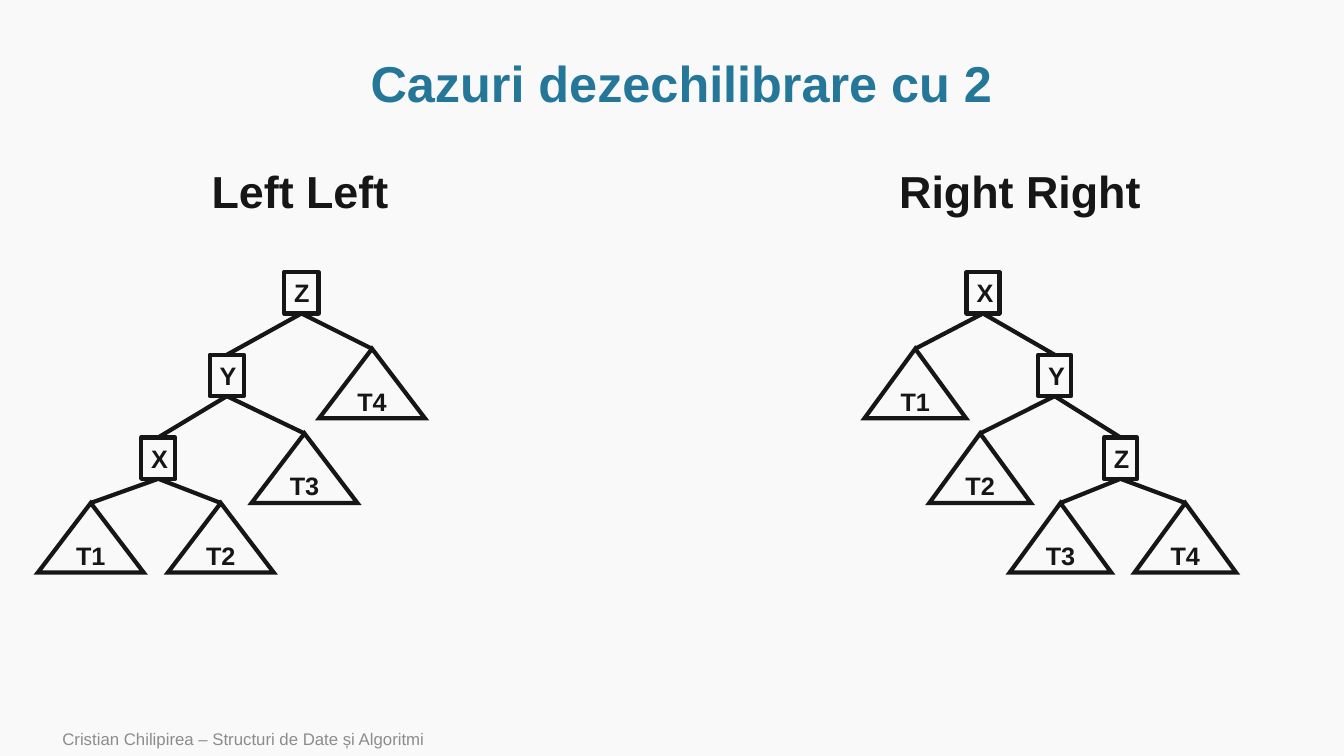
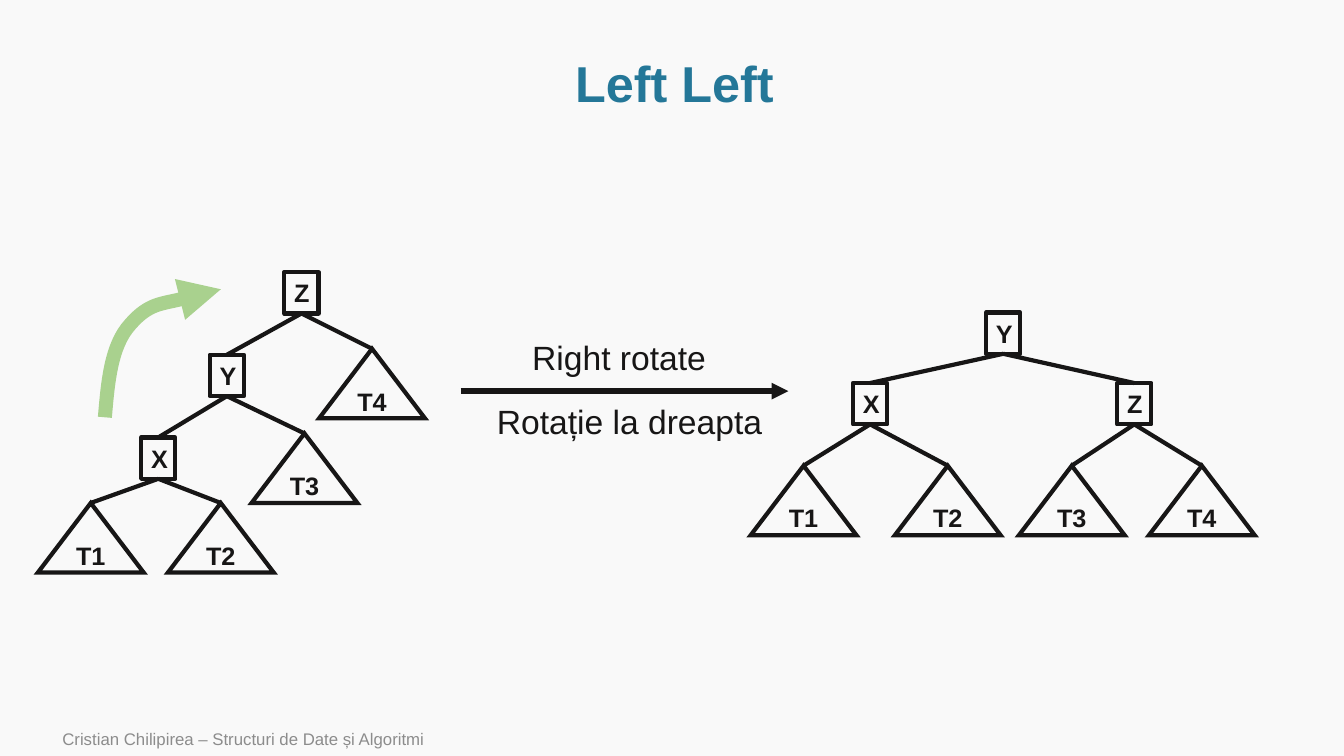
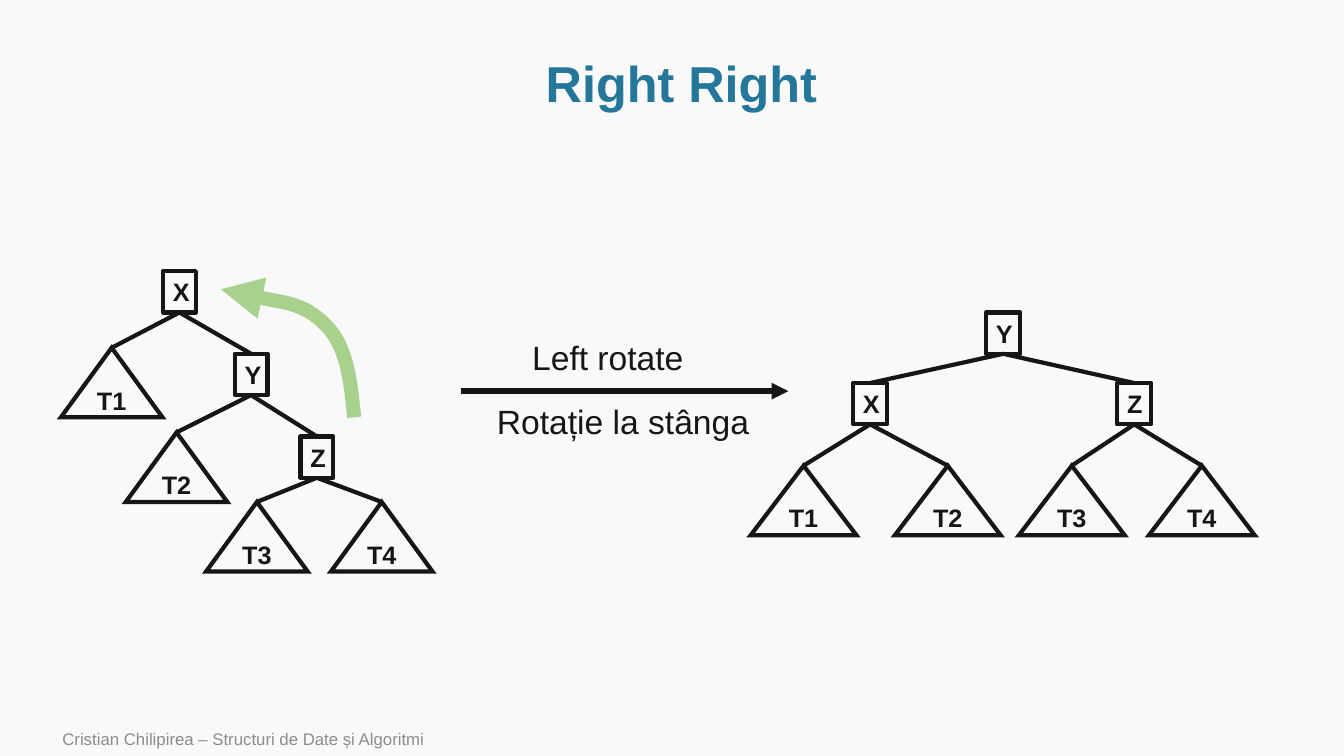
import dataclasses

import lxml.etree
import pptx
import pptx.dml.color
import pptx.enum.shapes
import pptx.enum.text
import pptx.oxml.ns
import pptx.util

Inches = pptx.util.Inches
Shape = pptx.enum.shapes.MSO_SHAPE
Align = pptx.enum.text.PP_ALIGN
Anchor = pptx.enum.text.MSO_ANCHOR
qualified = pptx.oxml.ns.qn


@dataclasses.dataclass(frozen=True)
class Theme:
    font: str = "Arial"
    background: str = "F9F9F9"
    ink: str = "171616"
    title: str = "247798"
    footer: str = "8C8C8C"
    turn: str = "A9D18E"
    title_size: int = 36
    heading_size: int = 32
    caption_size: int = 24
    node_size: int = 18
    footer_size: int = 12
    tree_line: int = 3
    step_line: int = 4
    turn_line: int = 10


THEME = Theme()
FOOTER = "Cristian Chilipirea – Structuri de Date și Algoritmi"
NODE = (0.34, 0.41)
SUBTREE = (1.05, 0.69)

# Label, (middle x, top y) measured from the root, children.
LEFT_LEFT = ("Z", (0, 0), [
    ("Y", (-0.74, 0.82), [
        ("X", (-1.42, 1.64), [("T1", (-2.09, 2.29), []), ("T2", (-0.8, 2.29), [])]),
        ("T3", (0.03, 1.6), []),
    ]),
    ("T4", (0.7, 0.76), []),
])
BALANCED = ("Y", (0, 0), [
    ("X", (-1.32, 0.7), [("T1", (-1.98, 1.52), []), ("T2", (-0.55, 1.52), [])]),
    ("Z", (1.3, 0.7), [("T3", (0.68, 1.52), []), ("T4", (1.97, 1.52), [])]),
])
MIRROR_LABELS = {"X": "Z", "Y": "Y", "Z": "X", "T1": "T4", "T2": "T3", "T3": "T2", "T4": "T1"}
MIRROR = -0.96
BALANCED_ROOT = (9.95, 3.1)

TURN_TIP = (2.19, 2.87)
TURN_CURVE = [(-1.15, 1.27), (-1.12, 0.92), (-1.09, 0.56), (-0.9, 0.35),
              (-0.71, 0.13), (-0.2, 0.06), (0, 0)]

CASES = [("Left Left", (2, 1.58), (2.99, 2.7), 1),
         ("Right Right", (8.82, 1.58), (9.75, 2.7), MIRROR)]
# Title, captions, root of the unbalanced tree, tree stretch, turn stretch.
ROTATIONS = [
    ("Left Left ", ("Right rotate", "Rotație la dreapta"), (2.99, 2.7), 1, 1),
    ("Right Right", ("Left rotate", "Rotație la stânga"), (1.78, 2.69), MIRROR, -1.15),
]


def color(value):
    return pptx.dml.color.RGBColor.from_string(value)


def write(shape, text, size, ink=THEME.ink, bold=False, align=Align.LEFT, anchor=Anchor.MIDDLE):
    frame = shape.text_frame
    frame.text = text
    frame.vertical_anchor = anchor
    para = frame.paragraphs[0]
    para.alignment = align
    font = para.runs[0].font
    font.name, font.size, font.bold = THEME.font, pptx.util.Pt(size), bold
    font.color.rgb = color(ink)
    return para


def add_text(page, place, text, size, **style):
    box = page.shapes.add_textbox(*map(Inches, place))
    box.text_frame.word_wrap = True
    return write(box, text, size, **style)


def draw_line(shape, ink, width, ending=None):
    """Set the line; ending is an optional (tag, attributes) pair for its XML."""
    shape.line.color.rgb = color(ink)
    shape.line.width = pptx.util.Pt(width)
    if ending:
        tag, attributes = ending
        lxml.etree.SubElement(shape.line._get_or_add_ln(), qualified(tag), attributes)


ARROW = ("a:tailEnd", {"type": "triangle"})
SHARP = ("a:miter", {"lim": "800000"})


def add_connector(page, start, end, width, ending=None):
    straight = pptx.enum.shapes.MSO_CONNECTOR.STRAIGHT
    line = page.shapes.add_connector(straight, *map(Inches, (*start, *end)))
    draw_line(line, THEME.ink, width, ending)
    lxml.etree.SubElement(line._element.spPr, qualified("a:effectLst"))
    return line


def add_tree(page, tree, root, stretch=1):
    """Draw a tree and return its root; a negative stretch mirrors and relabels it."""
    label, (x, y), children = tree
    leaf = not children
    width, height = SUBTREE if leaf else NODE
    width *= abs(stretch)
    place = (root[0] + x * stretch - width / 2, root[1] + y, width, height)
    kind = Shape.ISOSCELES_TRIANGLE if leaf else Shape.RECTANGLE
    node = page.shapes.add_shape(kind, *map(Inches, place))
    node.shadow.inherit = False
    node.fill.background()
    draw_line(node, THEME.ink, THEME.tree_line, SHARP if leaf else None)
    node.text_frame.word_wrap = leaf
    write(node, MIRROR_LABELS[label] if stretch < 0 else label, THEME.node_size,
          bold=True, align=Align.CENTER if leaf else Align.LEFT)
    for child in children:
        branch = add_connector(page, (0, 0), (0, 0), THEME.tree_line)
        branch.begin_connect(node, 2)
        branch.end_connect(add_tree(page, child, root, stretch), 0)
    return node


def add_turn(page, stretch):
    """Draw the curved arrow: line corners become the handles of cubic curves."""
    points = [(Inches(TURN_TIP[0] + x * stretch), Inches(TURN_TIP[1] + y)) for x, y in TURN_CURVE]
    builder = page.shapes.build_freeform(*points[0])
    builder.add_line_segments(points[1:], close=False)
    turn = builder.convert_to_shape()
    outline = next(turn._element.iter(qualified("a:path")))
    corners = outline.findall(qualified("a:lnTo"))
    for first in range(0, len(corners), 3):
        curve = lxml.etree.SubElement(outline, qualified("a:cubicBezTo"))
        for corner in corners[first:first + 3]:
            curve.append(corner[0])
            outline.remove(corner)
    turn.shadow.inherit = False
    turn.fill.background()
    draw_line(turn, THEME.turn, THEME.turn_line, ARROW)


def add_page(deck, title):
    page = deck.slides.add_slide(deck.slide_layouts[6])
    add_text(page, (0.52, 7.16, 8.4, 0.34), FOOTER, THEME.footer_size, ink=THEME.footer)
    para = add_text(page, (1.01, 0.51, 11.5, 0.69), title, THEME.title_size,
                    ink=THEME.title, bold=True, align=Align.CENTER)
    para.line_spacing = 0.9
    return page


def add_cases_page(deck):
    page = add_page(deck, "Cazuri dezechilibrare cu 2")
    for heading, corner, root, stretch in CASES:
        add_text(page, (*corner, 2.95, 0.64), heading, THEME.heading_size,
                 bold=True, anchor=Anchor.TOP)
        add_tree(page, LEFT_LEFT, root, stretch)


def add_rotation_page(deck, title, captions, root, tree_stretch, turn_stretch):
    page = add_page(deck, title)
    add_tree(page, LEFT_LEFT, root, tree_stretch)
    add_tree(page, BALANCED, BALANCED_ROOT)
    add_connector(page, (4.57, 3.88), (7.82, 3.88), THEME.step_line, ARROW)
    for caption, corner in zip(captions, [(5.18, 3.29), (4.83, 3.93)]):
        add_text(page, (*corner, 2.86, 0.5), caption, THEME.caption_size, anchor=Anchor.TOP)
    add_turn(page, turn_stretch)


def main():
    deck = pptx.Presentation()
    deck.slide_width, deck.slide_height = Inches(13.33), Inches(7.5)
    backdrop = deck.slide_master.background.fill
    backdrop.solid()
    backdrop.fore_color.rgb = color(THEME.background)
    add_cases_page(deck)
    for rotation in ROTATIONS:
        add_rotation_page(deck, *rotation)
    deck.save("out.pptx")


if __name__ == "__main__":
    main()
